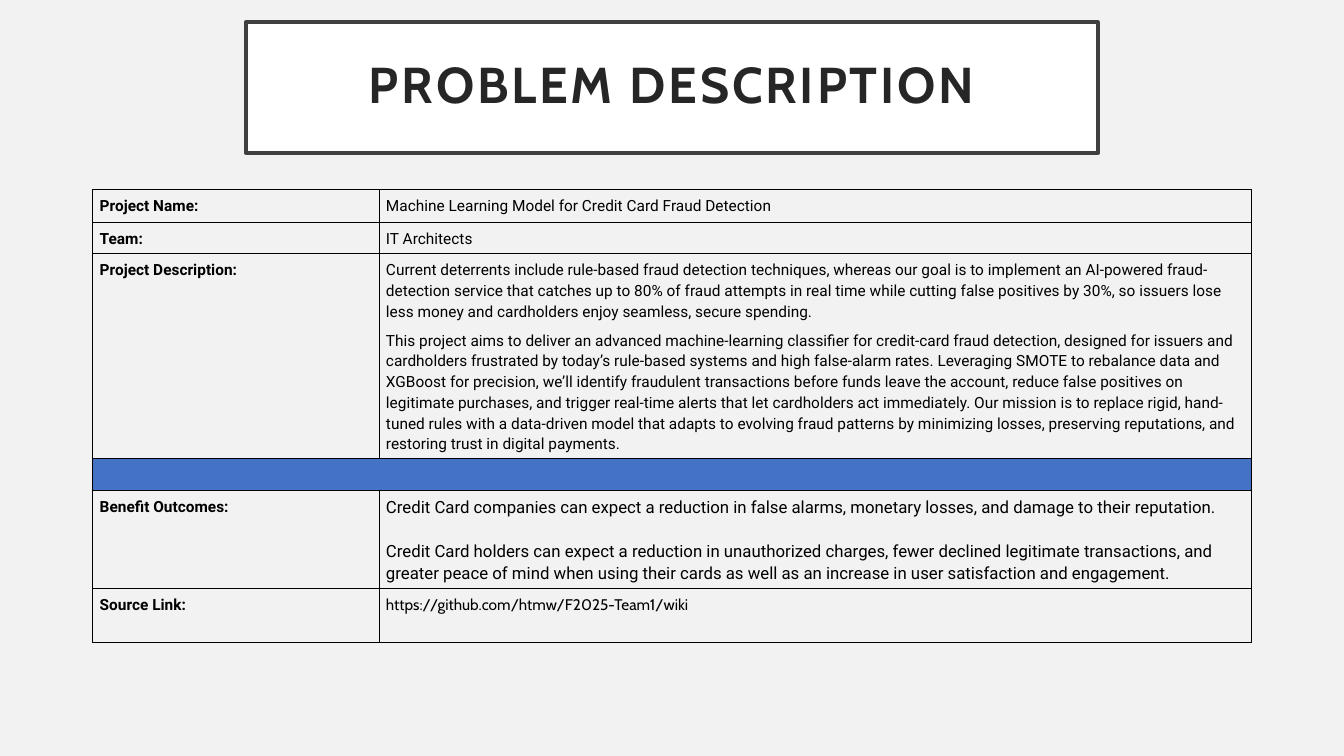
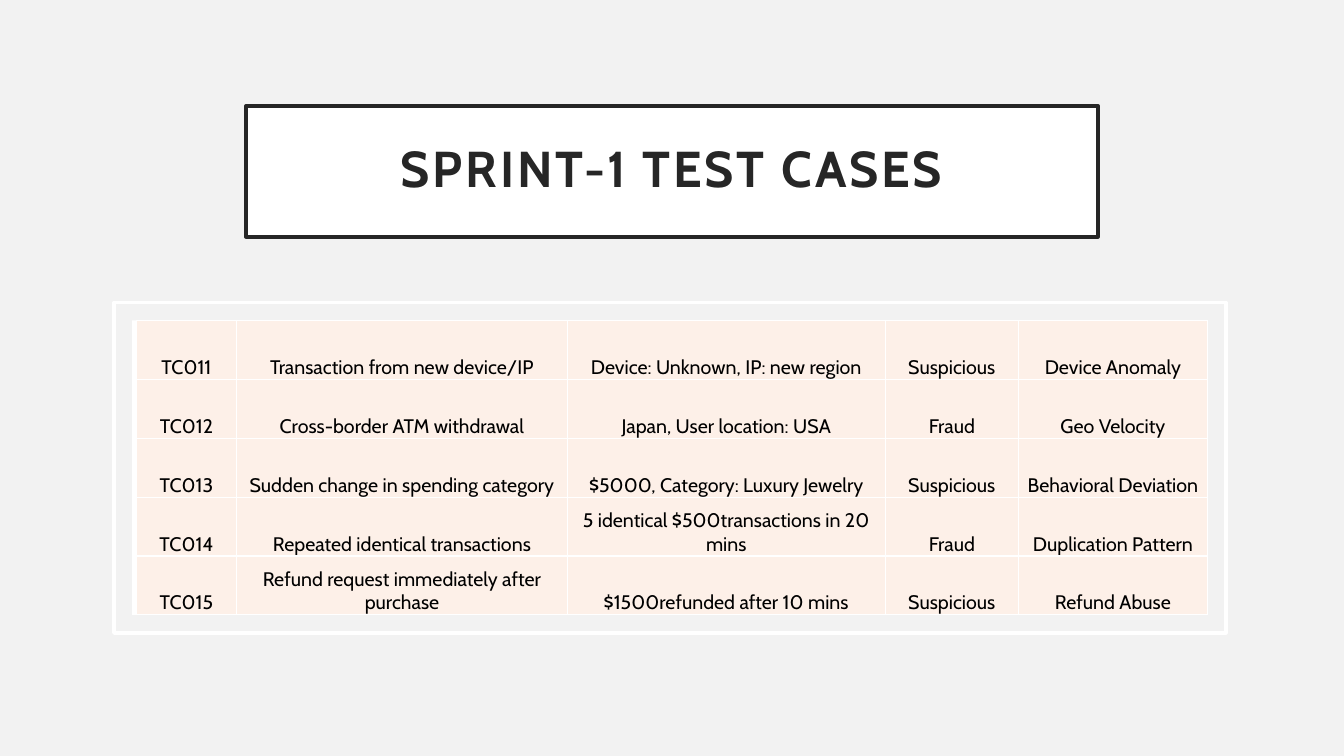
"""Build the problem description and test case slides."""
from dataclasses import dataclass
from typing import Optional

from pptx import Presentation
from pptx.dml.color import RGBColor
from pptx.enum.shapes import MSO_SHAPE
from pptx.enum.text import MSO_ANCHOR, MSO_AUTO_SIZE, PP_ALIGN
from pptx.oxml import parse_xml
from pptx.oxml.ns import nsdecls, qn
from pptx.slide import Slide
from pptx.util import Inches, Pt
from lxml.etree import SubElement

W, H = Inches(13.333), Inches(7.5)
PAPER, WHITE, BLACK = "F2F2F2", "FFFFFF", "000000"
INK, CHARCOAL, BLUE, PEACH = "262626", "404040", "4472C4", "FDF0E8"
HEAD_FONT, BODY_FONT = "Cabin", "Roboto"
FRAME_PT = 2.5


@dataclass(frozen=True)
class Box:
    """A rectangle in percent of the slide's width and height."""
    left: float
    top: float
    width: float
    height: float

    def emu(self) -> tuple[int, int, int, int]:
        return (round(W * self.left / 100), round(H * self.top / 100),
                round(W * self.width / 100), round(H * self.height / 100))


@dataclass(frozen=True)
class Cell:
    """Table cell text with its type settings, in points."""
    paragraphs: tuple[str, ...]
    size: float = 11
    font: str = BODY_FONT
    bold: bool = False
    leading: Optional[float] = 14.8
    gap: float = 6
    fill: Optional[str] = None
    merged: bool = False


@dataclass(frozen=True)
class Look:
    """What all the cells of one table share; insets in points."""
    fill: str
    border: str
    border_pt: float
    insets: tuple[float, float, float, float]
    anchor: MSO_ANCHOR
    align: PP_ALIGN


FACTS_LOOK = Look(PAPER, BLACK, 0.75, (5, 3.6, 5, 3.6), MSO_ANCHOR.TOP, PP_ALIGN.LEFT)
CASES_LOOK = Look(PEACH, WHITE, 1, (0.7, 0.7, 0.7, 0), MSO_ANCHOR.BOTTOM, PP_ALIGN.CENTER)

FACTS_BOX = Box(6.9, 25.04, 86.25, 59.73)
FACTS_COLS = (2.84, 8.66)
FACTS_ROWS = (0.33, 0.31, 2.03, 0.32, 0.97, 0.53)
FACTS = (
    ("Project Name:", Cell(("Machine Learning Model for Credit Card Fraud Detection",))),
    ("Team:", Cell(("IT Architects",))),
    ("Project Description:", Cell((
        "Current deterrents include rule-based fraud detection techniques, whereas our goal is "
        "to implement an AI-powered fraud-detection service that catches up to 80% of fraud "
        "attempts in real time while cutting false positives by 30%, so issuers lose less money "
        "and cardholders enjoy seamless, secure spending.",
        "This project aims to deliver an advanced machine-learning classifier for credit-card "
        "fraud detection, designed for issuers and cardholders frustrated by today’s rule-based "
        "systems and high false-alarm rates. Leveraging SMOTE to rebalance data and XGBoost for "
        "precision, we’ll identify fraudulent transactions before funds leave the account, reduce "
        "false positives on legitimate purchases, and trigger real-time alerts that let "
        "cardholders act immediately. Our mission is to replace rigid, hand-tuned rules with a "
        "data-driven model that adapts to evolving fraud patterns by minimizing losses, "
        "preserving reputations, and restoring trust in digital payments.",
    ))),
    None,
    ("Benefit Outcomes:", Cell((
        "Credit Card companies can expect a reduction in false alarms, monetary losses, and "
        "damage to their reputation.",
        "Credit Card holders can expect a reduction in unauthorized charges, fewer declined "
        "legitimate transactions, and greater peace of mind when using their cards as well as an "
        "increase in user satisfaction and engagement.",
    ), size=12, leading=15.7, gap=15.7)),
    ("Source Link:", Cell(("https://github.com/htmw/F2025-Team1/wiki",), font=HEAD_FONT)),
)

CASES_FRAME = Box(8.48, 40, 82.73, 43.73)
CASES_PANEL = Box(9.83, 42.4, 80.03, 38.93)
CASES_BOX = Box(10.13, CASES_PANEL.top, 79.73, CASES_PANEL.height)
CASES_COLS = (1, 3.28, 3.16, 1.32, 1.88)
CASES = (
    ("TC011", "Transaction from new device/IP", "Device: Unknown, IP: new region",
     "Suspicious", "Device Anomaly"),
    ("TC012", "Cross-border ATM withdrawal", "Japan, User location: USA",
     "Fraud", "Geo Velocity"),
    ("TC013", "Sudden change in spending category", "$5000, Category: Luxury Jewelry",
     "Suspicious", "Behavioral Deviation"),
    ("TC014", "Repeated identical transactions", "5 identical $500transactions in 20 mins",
     "Fraud", "Duplication Pattern"),
    ("TC015", "Refund request immediately after purchase", "$1500refunded after 10 mins",
     "Suspicious", "Refund Abuse"),
)


def rgb(color: str) -> RGBColor:
    return RGBColor.from_string(color)


def paint(sp, fill: Optional[str], line: Optional[str]) -> None:
    if fill:
        sp.fill.solid()
        sp.fill.fore_color.rgb = rgb(fill)
    else:
        sp.fill.background()
    if line:
        sp.line.color.rgb = rgb(line)
        sp.line.width = Pt(FRAME_PT)
    else:
        sp.line.fill.background()


def add_run(p, text: str, size: float, font: str, color: str, bold: bool):
    r = p.add_run()
    r.text = text
    r.font.size, r.font.name, r.font.bold = Pt(size), font, bold
    r.font.color.rgb = rgb(color)
    return r


def add_titled_slide(prs, title: str, top: float, line: str) -> Slide:
    s = prs.slides.add_slide(prs.slide_layouts[5])
    sp = s.shapes.title
    sp.left, sp.top, sp.width, sp.height = Box(18.3, top, 63.4, 17.33).emu()
    paint(sp, WHITE, line)
    tf = sp.text_frame
    tf.auto_size, tf.word_wrap = MSO_AUTO_SIZE.NONE, True
    tf.vertical_anchor = MSO_ANCHOR.MIDDLE
    tf.margin_left = tf.margin_top = tf.margin_right = tf.margin_bottom = Inches(0.2)
    p = tf.paragraphs[0]
    p.alignment, p.line_spacing = PP_ALIGN.CENTER, 0.9
    r = add_run(p, title, 36, HEAD_FONT, INK, True)
    r.font._element.set("spc", "200")
    return s


def add_rect(s: Slide, box: Box, fill: Optional[str], line: Optional[str]) -> None:
    sp = s.shapes.add_shape(MSO_SHAPE.RECTANGLE, *box.emu())
    sp.shadow.inherit = False
    paint(sp, fill, line)


def fill_cell(target, cell: Cell, look: Look) -> None:
    (target.margin_left, target.margin_top,
     target.margin_right, target.margin_bottom) = map(Pt, look.insets)
    target.vertical_anchor = look.anchor
    props = target._tc.get_or_add_tcPr()
    for side in "LRTB":
        props.append(parse_xml(
            f'<a:ln{side} {nsdecls("a")} w="{Pt(look.border_pt)}"><a:solidFill>'
            f'<a:srgbClr val="{look.border}"/></a:solidFill></a:ln{side}>'))
    target.fill.solid()
    target.fill.fore_color.rgb = rgb(cell.fill or look.fill)
    tf = target.text_frame
    for i, text in enumerate(cell.paragraphs):
        p = tf.add_paragraph() if i else tf.paragraphs[0]
        p.alignment = look.align
        if cell.leading:
            p.line_spacing = Pt(cell.leading)
        if i:
            p.space_before = Pt(cell.gap)
        add_run(p, text, cell.size, cell.font, BLACK, cell.bold)
    if not cell.paragraphs:
        SubElement(tf.paragraphs[0]._p, qn("a:endParaRPr"), sz=str(round(cell.size * 100)))


def add_grid(s: Slide, box: Box, cols: tuple, rows: tuple,
             cells: list[list[Cell]], look: Look) -> None:
    left, top, width, height = box.emu()
    table = s.shapes.add_table(len(rows), len(cols), left, top, width, height).table
    table.first_row = table.horz_banding = False
    for column, share in zip(table.columns, cols):
        column.width = round(width * share / sum(cols))
    for row, share in zip(table.rows, rows):
        row.height = round(height * share / sum(rows))
    for i, line in enumerate(cells):
        for j, cell in enumerate(line):
            fill_cell(table.cell(i, j), cell, look)
        if line[0].merged:
            table.cell(i, 0).merge(table.cell(i, len(cols) - 1))


def build_problem(prs) -> None:
    s = add_titled_slide(prs, "PROBLEM DESCRIPTION", 2.93, CHARCOAL)
    band = [Cell((), fill=BLUE, merged=True)] * len(FACTS_COLS)
    cells = [[Cell((fact[0],), bold=True), fact[1]] if fact else band for fact in FACTS]
    add_grid(s, FACTS_BOX, FACTS_COLS, FACTS_ROWS, cells, FACTS_LOOK)


def build_cases(prs) -> None:
    s = add_titled_slide(prs, "SPRINT-1 TEST CASES", 14, INK)
    add_rect(s, CASES_FRAME, None, WHITE)
    add_rect(s, CASES_PANEL, WHITE, None)
    cells = [[Cell((text,), size=14, font=HEAD_FONT, leading=None) for text in case]
             for case in CASES]
    add_grid(s, CASES_BOX, CASES_COLS, (1,) * len(CASES), cells, CASES_LOOK)


def main() -> None:
    prs = Presentation()
    prs.slide_width, prs.slide_height = W, H
    background = prs.slide_master.background.fill
    background.solid()
    background.fore_color.rgb = rgb(PAPER)
    build_problem(prs)
    build_cases(prs)
    prs.save("out.pptx")


if __name__ == "__main__":
    main()
